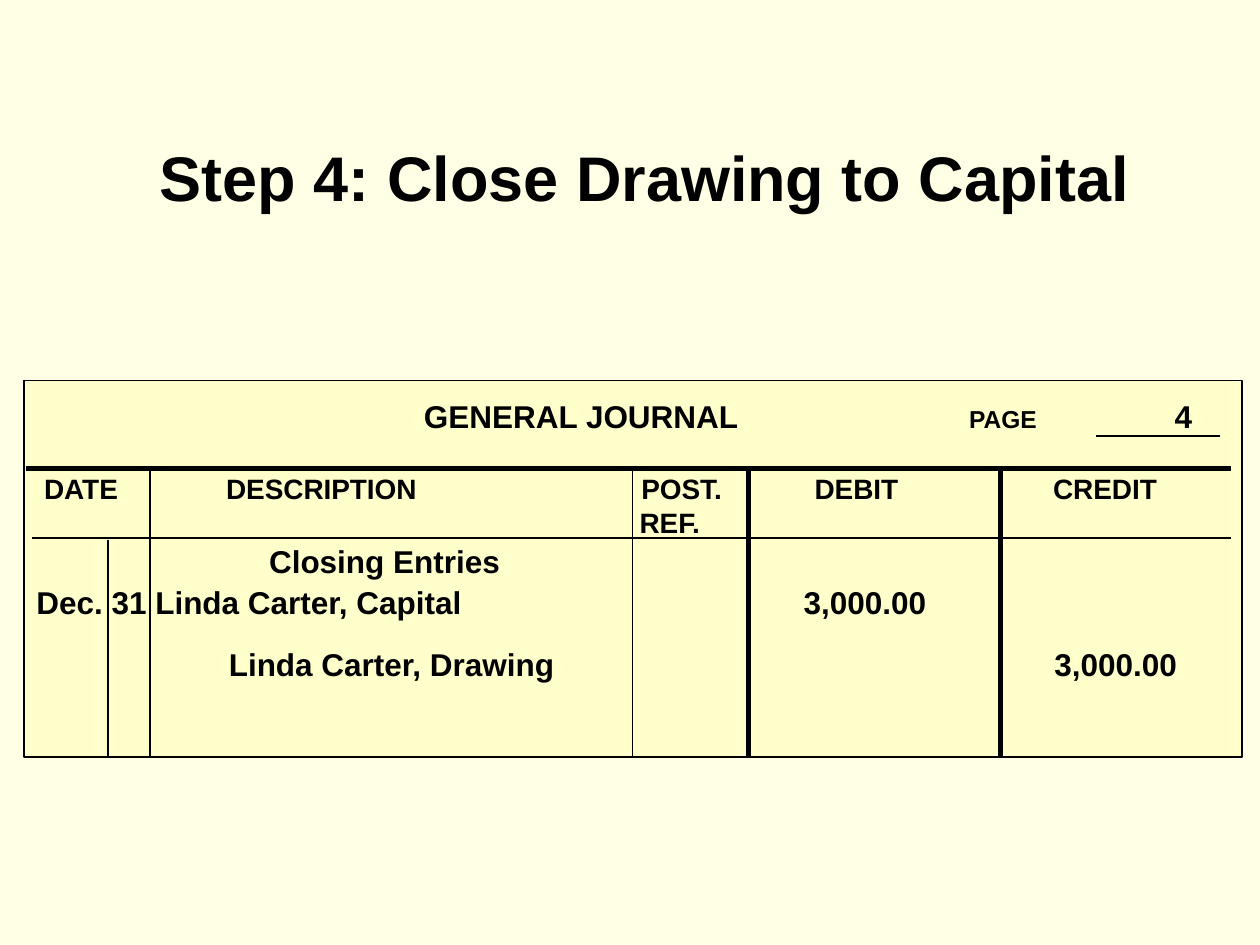
from pptx import Presentation
from pptx.dml.color import RGBColor
from pptx.enum.shapes import MSO_CONNECTOR as CONN, MSO_SHAPE as SHAPE
from pptx.enum.text import MSO_ANCHOR as ANCHOR, PP_ALIGN as ALIGN
from pptx.oxml.ns import qn
from pptx.util import Pt
from lxml.etree import SubElement

BLACK = RGBColor(0x00, 0x00, 0x00)
PAPER = RGBColor(0xFF, 0xFF, 0xE5)
LEDGER = RGBColor(0xFF, 0xFF, 0xCC)

# Journal rows: text size, space before, cells as (tab stop, text)
ROWS = [
    (18, 0, [(221.5, "GENERAL JOURNAL"), (533, "PAGE"), (650.5, "4")]),
    (16, 21.2, [(4.4, "DATE"), (108.4, "DESCRIPTION"), (345.7, "POST."),
                (444.7, "DEBIT"), (581, "CREDIT")]),
    (16, 0, [(344.7, "REF.")]),
    (18, 1.6, [(133, "Closing Entries")]),
    (18, 2, [(0, "Dec."), (43, "31"), (68, "Linda Carter, Capital"),
             (438.5, "3,000.00")]),
    (18, 14, [(110, "Linda Carter, Drawing"), (581.7, "3,000.00")]),
]

RIGHT, BOTTOM = 703.4, 432
HEAD_TOP, HEAD_BOTTOM = 267.8, 307.4
# Rules: x1, y1, x2, y2, width
RULES = [
    (18, HEAD_BOTTOM, RIGHT, HEAD_BOTTOM, 1),
    (15.1, HEAD_TOP, RIGHT, HEAD_TOP, 3),
    (626.4, 249.1, 697, 249.1, 1),
]
# Column rules: x, top, width
COLUMNS = [
    (61.9, HEAD_BOTTOM + 1, 1), (85.7, HEAD_TOP, 1), (361.4, HEAD_TOP, 1),
    (427.7, HEAD_TOP + 1, 3), (571.7, HEAD_TOP + 1, 3),
]
RULES += [(x, top, x, BOTTOM, width) for x, top, width in COLUMNS]


class Page:
    """Style and current slide; all lengths are in points."""
    font = "Arial"

    def __init__(self, prs):
        self.slide = prs.slides.add_slide(prs.slide_layouts[5])
        fill = self.slide.background.fill
        fill.solid()
        fill.fore_color.rgb = PAPER

    def style(self, r, size):
        r.font.name = self.font
        r.font.size = Pt(size)
        r.font.bold = True
        r.font.color.rgb = BLACK

    def title(self, text, x, y, w, h):
        sp = self.slide.shapes.title
        sp.left, sp.top, sp.width, sp.height = Pt(x), Pt(y), Pt(w), Pt(h)
        tf = sp.text_frame
        tf.text = text
        tf.vertical_anchor = ANCHOR.TOP
        tf.margin_top = Pt(3.6)
        p = tf.paragraphs[0]
        p.alignment = ALIGN.LEFT
        self.style(p.runs[0], 36)

    def ledger(self, rows, x, y, w, h):
        """Draw a framed panel whose rows are set out with tab stops."""
        sp = self.slide.shapes.add_shape(SHAPE.RECTANGLE, Pt(x), Pt(y), Pt(w), Pt(h))
        sp.shadow.inherit = False
        sp.fill.solid()
        sp.fill.fore_color.rgb = LEDGER
        sp.line.color.rgb = BLACK
        sp.line.width = Pt(1)
        tf = sp.text_frame
        tf.word_wrap = True
        tf.vertical_anchor = ANCHOR.TOP
        tf.margin_top = Pt(9.3)
        for i, (size, before, cells) in enumerate(rows):
            p = tf.add_paragraph() if i else tf.paragraphs[0]
            self.row(p, size, before, cells)
        return tf

    def row(self, p, size, before, cells):
        p.alignment = ALIGN.LEFT
        if before:
            p.space_before = Pt(before)
        tabs = SubElement(p._p.get_or_add_pPr(), qn("a:tabLst"))
        for stop, text in cells:
            if stop:
                SubElement(tabs, qn("a:tab"), pos=str(int(Pt(stop))), algn="l")
            r = p.add_run()
            r.text = "\t" + text if stop else text
            self.style(r, size)

    def rule(self, x1, y1, x2, y2, width):
        line = self.slide.shapes.add_connector(
            CONN.STRAIGHT, Pt(x1), Pt(y1), Pt(x2), Pt(y2))
        line.line.color.rgb = BLACK
        line.line.width = Pt(width)
        SubElement(line._element.spPr, qn("a:effectLst"))


def main():
    prs = Presentation()
    prs.slide_width, prs.slide_height = Pt(720), Pt(540)
    page = Page(prs)
    page.title("Step 4: Close Drawing to Capital", 84.2, 75.6, 617.8, 50.4)
    journal = page.ledger(ROWS, 13.7, 217.4, 696.2, 215.3)
    journal.paragraphs[0].runs[1].font.size = Pt(14)  # PAGE label
    for rule in RULES:
        page.rule(*rule)
    prs.save("out.pptx")


if __name__ == "__main__":
    main()
